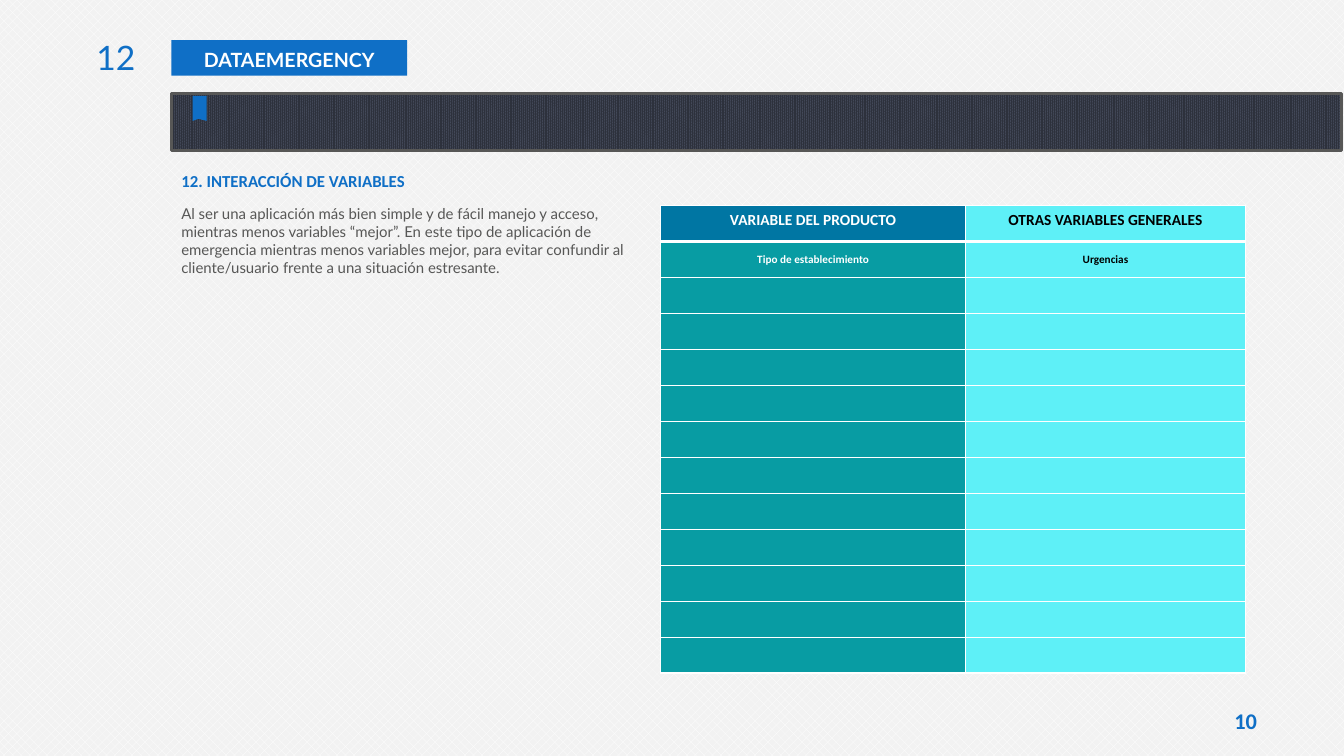
from lxml.etree import SubElement
from pptx import Presentation
from pptx.dml.color import RGBColor
from pptx.enum.dml import MSO_PATTERN_TYPE as Pattern
from pptx.enum.shapes import MSO_SHAPE as Preset
from pptx.enum.text import MSO_ANCHOR as Anchor, MSO_AUTO_SIZE as AutoSize, PP_ALIGN as Align
from pptx.oxml.ns import qn
from pptx.util import Inches, Pt

BLUE = RGBColor(0x0F, 0x6F, 0xC6)
DEEP_BLUE = RGBColor(0x00, 0x76, 0xA3)
TEAL = RGBColor(0x08, 0x9C, 0xA3)
AQUA = RGBColor(0x5E, 0xF0, 0xF7)
GREY = RGBColor(0x57, 0x57, 0x56)
PALE_GREY = RGBColor(0xF2, 0xF2, 0xF2)
NIGHT = RGBColor(0x2D, 0x31, 0x3C)
SLATE = RGBColor(0x44, 0x4A, 0x5A)
WHITE = RGBColor(0xFF, 0xFF, 0xFF)
BLACK = RGBColor(0x00, 0x00, 0x00)

ROW_COUNT = 13
INTERACTIONS = [
    ("VARIABLE DEL PRODUCTO", "OTRAS VARIABLES GENERALES"),
    ("Tipo de establecimiento", "Urgencias"),
]


def write(frame, text, font="Lato", size=12, color=GREY, bold=False,
          align=Align.LEFT, spacing=None, gap=None):
    paragraph = frame.paragraphs[0]
    paragraph.alignment = align
    if spacing:
        paragraph.line_spacing = spacing
    if gap is not None:
        paragraph.space_before = paragraph.space_after = Pt(gap)
    run = paragraph.add_run()
    run.text = text
    run.font.name, run.font.size, run.font.bold = font, Pt(size), bold
    run.font.color.rgb = color


def paint_pattern(fill, preset, fore, back):
    fill.patterned()
    fill.pattern = Pattern.from_xml(preset)
    fill.fore_color.rgb, fill.back_color.rgb = fore, back


def draw_borders(cell, top=1, bottom=1):
    properties = cell._tc.get_or_add_tcPr()
    for side, width in (("L", 1), ("R", 1), ("T", top), ("B", bottom)):
        line = SubElement(properties, qn(f"a:ln{side}"), w=str(Pt(width)))
        fill = SubElement(line, qn("a:solidFill"))
        SubElement(fill, qn("a:srgbClr"), val=str(WHITE))


class SlideBuilder:
    """Places elements by percentages of the slide's width and height."""

    def __init__(self, deck):
        self.deck = deck
        self.slide = deck.slides.add_slide(deck.slide_layouts[6])
        self.shapes = self.slide.shapes

    def x(self, share):
        return round(self.deck.slide_width * share / 100)

    def y(self, share):
        return round(self.deck.slide_height * share / 100)

    def box(self, left, top, width, height):
        return self.x(left), self.y(top), self.x(width), self.y(height)

    def text(self, area, content, insets=None, **style):
        frame = self.shapes.add_textbox(*self.box(*area)).text_frame
        frame.word_wrap = True
        if insets:
            frame.margin_left = frame.margin_right = Inches(insets[0])
            frame.margin_top = frame.margin_bottom = Inches(insets[1])
        else:
            frame.auto_size = AutoSize.SHAPE_TO_FIT_TEXT
        write(frame, content, **style)

    def bar(self, area):
        bar = self.shapes.add_shape(Preset.RECTANGLE, *self.box(*area))
        bar.shadow.inherit = False
        bar.line.fill.background()
        return bar

    def label(self, area, content, fill, **style):
        label = self.bar(area)
        label.fill.solid()
        label.fill.fore_color.rgb = fill
        label.text_frame.vertical_anchor = Anchor.TOP
        write(label.text_frame, content, **style)

    def band(self, area, fore, back, outline):
        band = self.bar(area)
        paint_pattern(band.fill, "pct90", fore, back)
        band.line.color.rgb, band.line.width = outline, Pt(2)

    def ribbon(self, corners, fill):
        points = [(self.x(across), self.y(down)) for across, down in corners]
        builder = self.shapes.build_freeform(*points[0])
        builder.add_line_segments(points[1:], close=True)
        ribbon = builder.convert_to_shape()
        ribbon.shadow.inherit = False
        ribbon.fill.solid()
        ribbon.fill.fore_color.rgb = fill
        ribbon.line.fill.background()

    def table(self, left, top, columns, row_height, rows):
        area = self.box(left, top, sum(columns), row_height * ROW_COUNT)
        table = self.shapes.add_table(ROW_COUNT, len(columns), *area).table
        table.first_row = table.horz_banding = False
        for column, width in zip(table.columns, columns):
            column.width = self.x(width)
        for r, row in enumerate(table.rows):
            row.height = self.y(row_height)
            for c, cell in enumerate(row.cells):
                draw_borders(cell, top=3 if r == 1 else 1, bottom=3 if r == 0 else 1)
                cell.fill.solid()
                cell.fill.fore_color.rgb = AQUA if c else TEAL if r else DEEP_BLUE
                if r:
                    cell.vertical_anchor = Anchor.MIDDLE
                    cell.margin_left = cell.margin_right = 0
                    cell.margin_top = cell.margin_bottom = 0
                if r < len(rows):
                    write(cell.text_frame, rows[r][c], font="Calibri", bold=True,
                          size=8 if r else 11, color=BLACK if c else WHITE,
                          align=Align.CENTER)


def main():
    deck = Presentation()
    deck.slide_width, deck.slide_height = Inches(13.33), Inches(7.5)
    page = SlideBuilder(deck)
    paint_pattern(page.slide.background.fill, "pct40", WHITE, PALE_GREY)

    margin = 12.75
    page.text((90.4, 93.33, 4.58, 4.4), "10", insets=(0.05, 0.02), font="Calibri",
              size=16, color=BLUE, bold=True, align=Align.CENTER)
    page.label((margin, 5.33, 17.55, 4.67), "DATAEMERGENCY", BLUE, size=14,
               color=WHITE, bold=True, align=Align.CENTER, spacing=1.1)
    page.text((5.85, 4.27, 4.95, 6.67), "12", size=24, color=BLUE, align=Align.RIGHT)
    page.band((margin, 12.4, 87.1, 7.47), NIGHT, SLATE, GREY)
    page.ribbon([(15.38, 12.67), (15.38, 16), (14.78, 15.73), (14.33, 16),
                 (14.33, 12.67)], BLUE)
    page.text((margin, 21.87, 37.21, 4), "12. INTERACCIÓN DE VARIABLES",
              font="Calibri", color=BLUE, bold=True)
    page.text((margin, 26.4, 35.03, 10.93),
              "Al ser una aplicación más bien simple y de fácil manejo y acceso, "
              "mientras menos variables “mejor”. En este tipo de aplicación de "
              "emergencia mientras menos variables mejor, para evitar confundir al "
              "cliente/usuario frente a una situación estresante.",
              size=10.7, gap=6)
    page.table(49.14, 27.2, (22.73, 20.78), 4.76, INTERACTIONS)

    deck.save("out.pptx")


if __name__ == "__main__":
    main()
